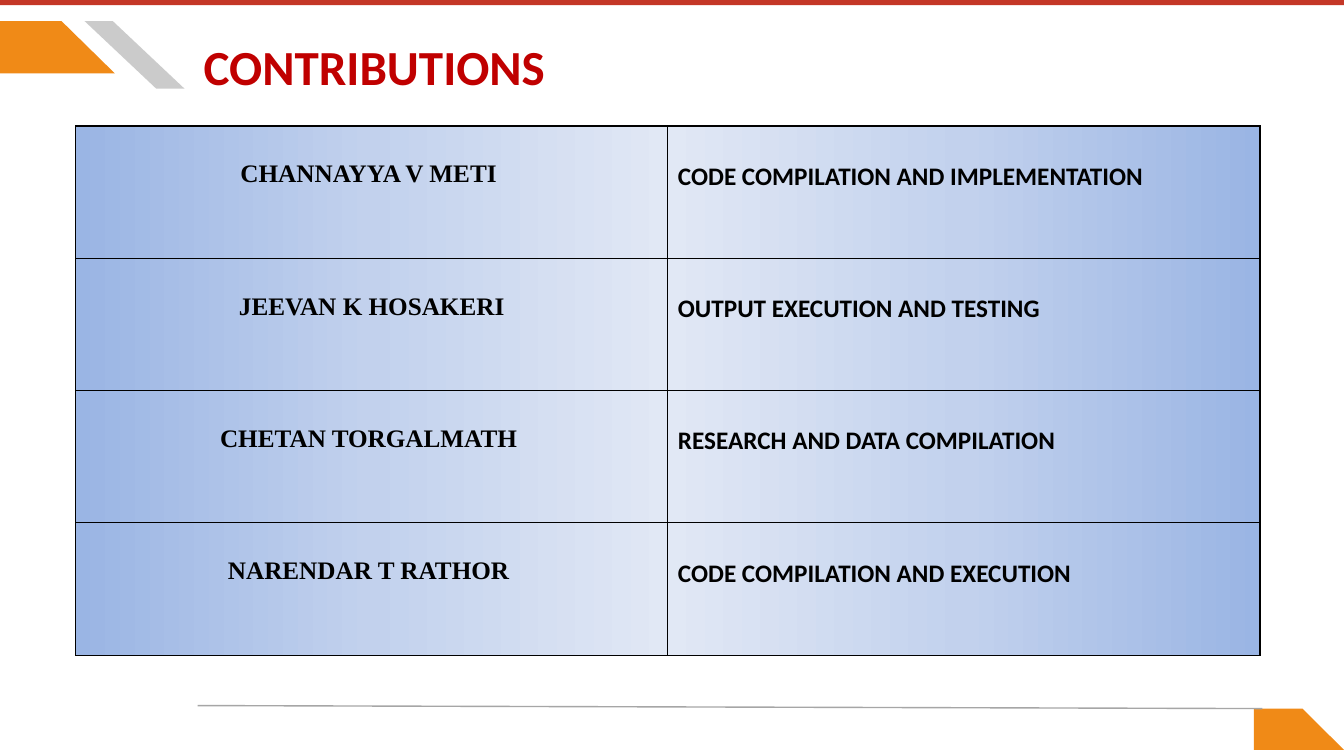
import dataclasses
import typing

import lxml.etree
import pptx
import pptx.dml.color
import pptx.enum.shapes
import pptx.enum.text
import pptx.oxml
import pptx.oxml.ns
import pptx.util

WIDTH = pptx.util.Inches(13.33)
HEIGHT = pptx.util.Inches(7.5)
ORANGE, RED, GREY = "F08A17", "C43727", "7E7E7E"
BLACK, TITLE_RED, RULE_GREY = "000000", "C00000", "A6A6A6"
STOPS = {0: "9AB5E4", 50: "C2D1ED", 100: "E1E8F5"}
Point = tuple[float, float]


@dataclasses.dataclass
class Outline:
    points: list[Point]
    colour: str
    opacity: int = 100


@dataclasses.dataclass
class Column:
    font: str
    alignment: pptx.enum.text.PP_ALIGN
    top_margin: float
    angle: int


@dataclasses.dataclass
class Contribution:
    name: str
    work: str


OUTLINES = [
    Outline([(96.9, 93.73), (93.3, 93.73), (93.3, 99.2), (100, 99.2)], ORANGE),
    Outline([(4.58, 2.8), (0, 2.8), (0, 9.73), (8.55, 9.73)], ORANGE),
    Outline([(8.4, 2.8), (6.3, 2.8), (11.63, 11.73), (13.73, 11.73)], GREY, 40),
]
COLUMNS = [
    Column("Times New Roman", pptx.enum.text.PP_ALIGN.CENTER, 0.34, 0),
    Column("Calibri", pptx.enum.text.PP_ALIGN.LEFT, 0.35, 180),
]
CONTRIBUTIONS = [
    Contribution("CHANNAYYA V METI ", "CODE COMPILATION AND IMPLEMENTATION"),
    Contribution("JEEVAN K HOSAKERI", "OUTPUT EXECUTION AND TESTING"),
    Contribution("CHETAN TORGALMATH ", "RESEARCH AND DATA COMPILATION"),
    Contribution("NARENDAR T RATHOR ", "CODE COMPILATION AND EXECUTION"),
]


def across(percent: float) -> int:
    return round(WIDTH * percent / 100)


def down(percent: float) -> int:
    return round(HEIGHT * percent / 100)


def rgb(colour: str) -> pptx.dml.color.RGBColor:
    return pptx.dml.color.RGBColor.from_string(colour)


def apply(target: typing.Any, values: dict[str, typing.Any]) -> None:
    for name, value in values.items():
        setattr(target, name, value)


def add_child(parent: typing.Any, tag: str, **attributes: str) -> typing.Any:
    return lxml.etree.SubElement(parent, pptx.oxml.ns.qn(tag), attributes)


def write(para: typing.Any, text: str, font: str, size: float, colour: str) -> None:
    span = para.add_run()
    span.text = text
    apply(span.font, {"name": font, "size": pptx.util.Pt(size), "bold": True})
    span.font.color.rgb = rgb(colour)


def paint(shape: typing.Any, colour: str) -> None:
    shape.shadow.inherit = False
    shape.fill.solid()
    shape.fill.fore_color.rgb = rgb(colour)
    shape.line.fill.background()


def draw_outline(page: typing.Any, outline: Outline) -> None:
    corners = [(across(x), down(y)) for x, y in outline.points]
    builder = page.shapes.build_freeform(*corners[0])
    builder.add_line_segments(corners[1:], close=True)
    shape = builder.convert_to_shape()
    paint(shape, outline.colour)
    if outline.opacity < 100:
        colour = shape._element.spPr.find(".//" + pptx.oxml.ns.qn("a:srgbClr"))
        add_child(colour, "a:alpha", val=str(outline.opacity * 1000))


def draw_bar_and_rule(page: typing.Any) -> None:
    bar = page.shapes.add_shape(
        pptx.enum.shapes.MSO_SHAPE.RECTANGLE, 0, 0, WIDTH, down(0.7))
    paint(bar, RED)
    rule = page.shapes.add_connector(
        pptx.enum.shapes.MSO_CONNECTOR.STRAIGHT,
        across(14.7), down(93.33), across(93.92), down(93.73))
    rule.line.color.rgb = rgb(RULE_GREY)
    rule.line.width = pptx.util.Pt(1)
    add_child(rule._element.spPr, "a:effectLst")


def draw_title(page: typing.Any) -> None:
    title = page.shapes.title
    apply(title, {"left": across(15.15), "top": down(4.8),
                  "width": across(45.9), "height": down(8.13)})
    apply(title.text_frame, {
        "margin_left": 0, "margin_top": 0, "margin_right": 0, "margin_bottom": 0,
        "word_wrap": True, "vertical_anchor": pptx.enum.text.MSO_ANCHOR.TOP})
    para = title.text_frame.paragraphs[0]
    para.alignment = pptx.enum.text.PP_ALIGN.LEFT
    write(para, "CONTRIBUTIONS", "Calibri", 35, TITLE_RED)


def style_cell(cell: typing.Any, angle: int) -> None:
    properties = cell._tc.get_or_add_tcPr()
    for side in ("L", "R", "T", "B"):
        border = add_child(properties, f"a:ln{side}", w=str(pptx.util.Pt(1)))
        add_child(add_child(border, "a:solidFill"), "a:srgbClr", val=BLACK)
    gradient = add_child(properties, "a:gradFill", rotWithShape="1")
    stops = add_child(gradient, "a:gsLst")
    for position, colour in STOPS.items():
        stop = add_child(stops, "a:gs", pos=str(position * 1000))
        add_child(stop, "a:srgbClr", val=colour)
    add_child(gradient, "a:lin", ang=str(angle * 60000), scaled="0")


def draw_table(page: typing.Any) -> None:
    table = page.shapes.add_table(
        len(CONTRIBUTIONS), len(COLUMNS),
        across(5.63), down(16.67), across(88.13), down(70)).table
    apply(table, {"first_row": False, "horz_banding": False})
    for row, contribution in enumerate(CONTRIBUTIONS):
        texts = dataclasses.astuple(contribution)
        for index, (column, text) in enumerate(zip(COLUMNS, texts)):
            cell = table.cell(row, index)
            cell.margin_top = pptx.util.Inches(column.top_margin)
            style_cell(cell, column.angle)
            para = cell.text_frame.paragraphs[0]
            para.alignment = column.alignment
            write(para, text, column.font, 18, BLACK)


def main() -> None:
    deck = pptx.Presentation()
    apply(deck, {"slide_width": WIDTH, "slide_height": HEIGHT})
    page = deck.slides.add_slide(deck.slide_layouts.get_by_name("Title Only"))
    for outline in OUTLINES:
        draw_outline(page, outline)
    draw_bar_and_rule(page)
    draw_title(page)
    draw_table(page)
    deck.save("out.pptx")


if __name__ == "__main__":
    main()
